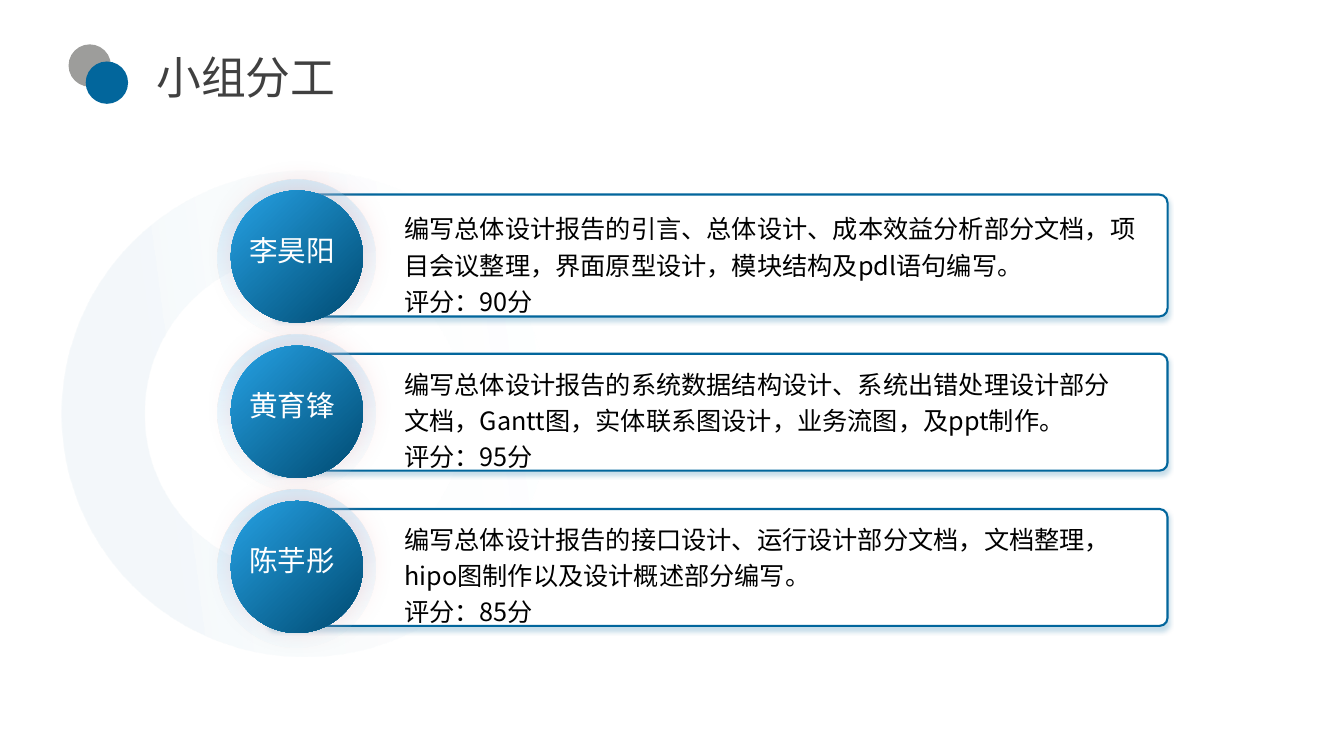
import pptx
import pptx.dml.color
import pptx.enum.shapes
import pptx.enum.text
import pptx.oxml
import pptx.oxml.ns
import pptx.util

RGB = pptx.dml.color.RGBColor
Inches = pptx.util.Inches
Pt = pptx.util.Pt
SHAPES = pptx.enum.shapes.MSO_SHAPE
TEXT = pptx.enum.text

BLUE = RGB(0x02, 0x66, 0x9C)
GREY = RGB(0x9D, 0x9D, 0x9B)
TITLE_GREY = RGB(0x40, 0x40, 0x40)
WHITE = RGB(0xFF, 0xFF, 0xFF)
BLACK = RGB(0x00, 0x00, 0x00)
HALO_PALE = RGB(0xB9, 0xE6, 0xFE)
HALO_BLUE = RGB(0x74, 0xCD, 0xFD)
DISC_LIGHT = RGB(0x2E, 0xB4, 0xFC)
DISC_DARK = RGB(0x01, 0x4D, 0x75)
DISC_GLOW = RGB(0xF0, 0xAA, 0xAD)
FONT = "Noto Sans CJK JP"

ROW_LEFT, ROW_TOP, ROW_PITCH = 2.16, 1.78, 1.54
CARD_RIGHT = 11.58
HALO_SIZE, DISC_SIZE = 1.56, 1.31

# name, duties, score, then card left, card top in the row, card height, text width
MEMBERS = [
    ("李昊阳", "编写总体设计报告的引言、总体设计、成本效益分析部分文档，项目会议整理，"
     "界面原型设计，模块结构及pdl语句编写。", "评分：90分", 2.7, 0.15, 1.21, 7.59),
    ("黄育锋", "编写总体设计报告的系统数据结构设计、系统出错处理设计部分文档，Gantt图，"
     "实体联系图设计，业务流图，及ppt制作。", "评分：95分", 2.65, 0.19, 1.16, 7.36),
    ("陈芋彤", "编写总体设计报告的接口设计、运行设计部分文档，文档整理，"
     "hipo图制作以及设计概述部分编写。", "评分：85分", 2.65, 0.19, 1.16, 7.36),
]


def add_plain_shape(slide, kind, left, top, width, height, color=None):
    shape = slide.shapes.add_shape(
        kind, Inches(left), Inches(top), Inches(width), Inches(height))
    shape.shadow.inherit = False
    shape.line.fill.background()
    if color is not None:
        shape.fill.solid()
        shape.fill.fore_color.rgb = color
    return shape


def set_gradient(shape, *stops):
    """Fill from top to bottom; each stop is (position, color, opacity), in percent."""
    shape.fill.gradient()
    shape.fill.gradient_angle = 270
    for stop, (position, color, _) in zip(shape.fill.gradient_stops, stops):
        stop.position = position / 100
        stop.color.rgb = color
    colors = shape.element.spPr.findall(".//" + pptx.oxml.ns.qn("a:gs") + "/*")
    for element, (_, _, opacity) in zip(colors, stops):
        if opacity < 100:
            alpha = element.makeelement(pptx.oxml.ns.qn("a:alpha"), {"val": str(opacity * 1000)})
            element.append(alpha)


def set_shadow(shape, color, opacity, blur, distance, angle):
    effects = shape.element.spPr.find(pptx.oxml.ns.qn("a:effectLst"))
    effects.append(pptx.oxml.parse_xml(
        f'<a:outerShdw {pptx.oxml.ns.nsdecls("a")} blurRad="{int(Pt(blur))}"'
        f' dist="{int(Pt(distance))}" dir="{angle * 60000}" algn="ctr" rotWithShape="0">'
        f'<a:srgbClr val="{color}"><a:alpha val="{opacity * 1000}"/></a:srgbClr>'
        f'</a:outerShdw>'))


def add_run(paragraph, text, size, color):
    run = paragraph.add_run()
    run.text = text
    run.font.size = Pt(size)
    run.font.color.rgb = color
    run.font.name = FONT
    properties = run.font._element
    properties.append(properties.makeelement(pptx.oxml.ns.qn("a:ea"), {"typeface": FONT}))


def set_frame(frame, side, edge, wrap):
    frame.margin_left = frame.margin_right = Inches(side)
    frame.margin_top = frame.margin_bottom = Inches(edge)
    frame.word_wrap = wrap
    frame.auto_size = TEXT.MSO_AUTO_SIZE.SHAPE_TO_FIT_TEXT
    frame.vertical_anchor = TEXT.MSO_ANCHOR.TOP


def add_header(slide, left, top):
    dot, offset = 0.42, 0.17
    for step, color in enumerate((GREY, BLUE)):
        add_plain_shape(slide, SHAPES.FLOWCHART_CONNECTOR, left + step * offset,
                        top + step * offset, dot, dot, color)
    title = slide.shapes.title
    title.left, title.top = Inches(left + 0.77), Inches(top)
    title.width, title.height = Inches(2.2), Inches(0.64)
    set_frame(title.text_frame, 0.1, 0.05, True)
    title.text_frame.auto_size = TEXT.MSO_AUTO_SIZE.NONE
    paragraph = title.text_frame.paragraphs[0]
    paragraph.alignment = TEXT.PP_ALIGN.LEFT
    add_run(paragraph, "小组分工", 32, TITLE_GREY)


def add_backdrop_ring(slide, left, top, size):
    ring = add_plain_shape(slide, SHAPES.DONUT, left, top, size, size)
    ring.adjustments[0] = 0.171
    ring.rotation = 262.5
    set_gradient(ring, (24, BLUE, 4), (100, WHITE, 0))


def add_badge(slide, left, top, name):
    halo = add_plain_shape(slide, SHAPES.OVAL, left, top, HALO_SIZE, HALO_SIZE)
    halo.rotation = 173.1
    set_gradient(halo, (0, HALO_PALE, 0), (83, HALO_BLUE, 28))

    disc = add_plain_shape(slide, SHAPES.OVAL, left + 0.13, top + 0.11, DISC_SIZE, DISC_SIZE)
    disc.rotation = 316.2
    set_gradient(disc, (0, DISC_LIGHT, 100), (83, DISC_DARK, 100))
    set_shadow(disc, DISC_GLOW, 40, 20, 4, 300)

    label = slide.shapes.add_textbox(
        Inches(left + 0.26), Inches(top + 0.5), Inches(0.96), Inches(0.4))
    set_frame(label.text_frame, 0.05, 0.03, False)
    add_run(label.text_frame.paragraphs[0], name, 20.4, WHITE)


def add_member_row(slide, left, top, member):
    name, duties, score, card_left, card_offset, card_height, text_width = member
    card = add_plain_shape(slide, SHAPES.ROUNDED_RECTANGLE, card_left, top + card_offset,
                           CARD_RIGHT - card_left, card_height, WHITE)
    card.adjustments[0] = 0.068
    card.line.color.rgb = BLUE
    card.line.width = Pt(1.5)
    set_shadow(card, BLUE, 22, 3.3, 2.5, 90)

    add_badge(slide, left, top, name)

    box = slide.shapes.add_textbox(
        Inches(left + 1.77), Inches(top + 0.24), Inches(text_width), Inches(1.17))
    frame = box.text_frame
    set_frame(frame, 0.08, 0.04, True)
    for paragraph, text in ((frame.paragraphs[0], duties), (frame.add_paragraph(), score)):
        paragraph.line_spacing = 1.2
        add_run(paragraph, text, 18, BLACK)


def main():
    presentation = pptx.Presentation()
    presentation.slide_width = Inches(13.33)
    presentation.slide_height = Inches(7.5)
    slide = presentation.slides.add_slide(presentation.slide_layouts[5])
    add_header(slide, 0.68, 0.44)
    add_backdrop_ring(slide, 0.61, 1.69, 4.82)
    for row, member in enumerate(MEMBERS):
        add_member_row(slide, ROW_LEFT, ROW_TOP + row * ROW_PITCH, member)
    presentation.save("out.pptx")


if __name__ == "__main__":
    main()
